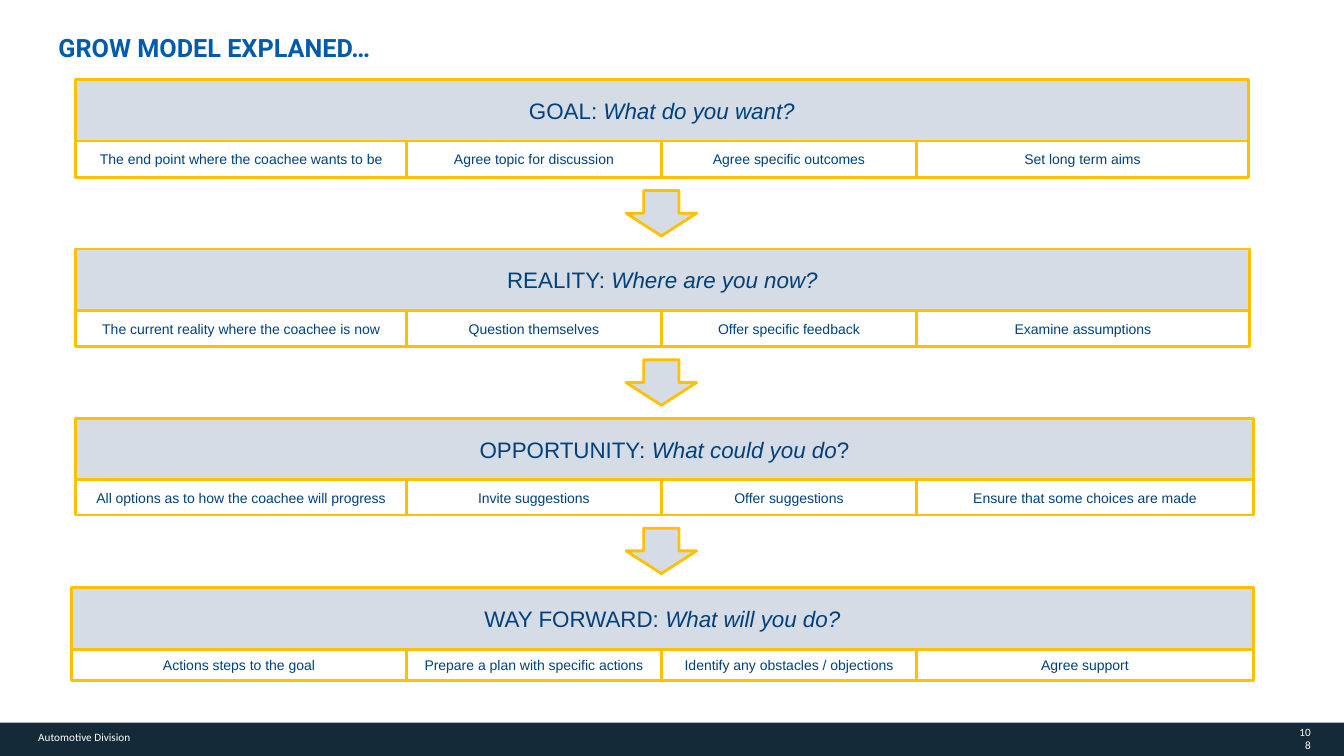
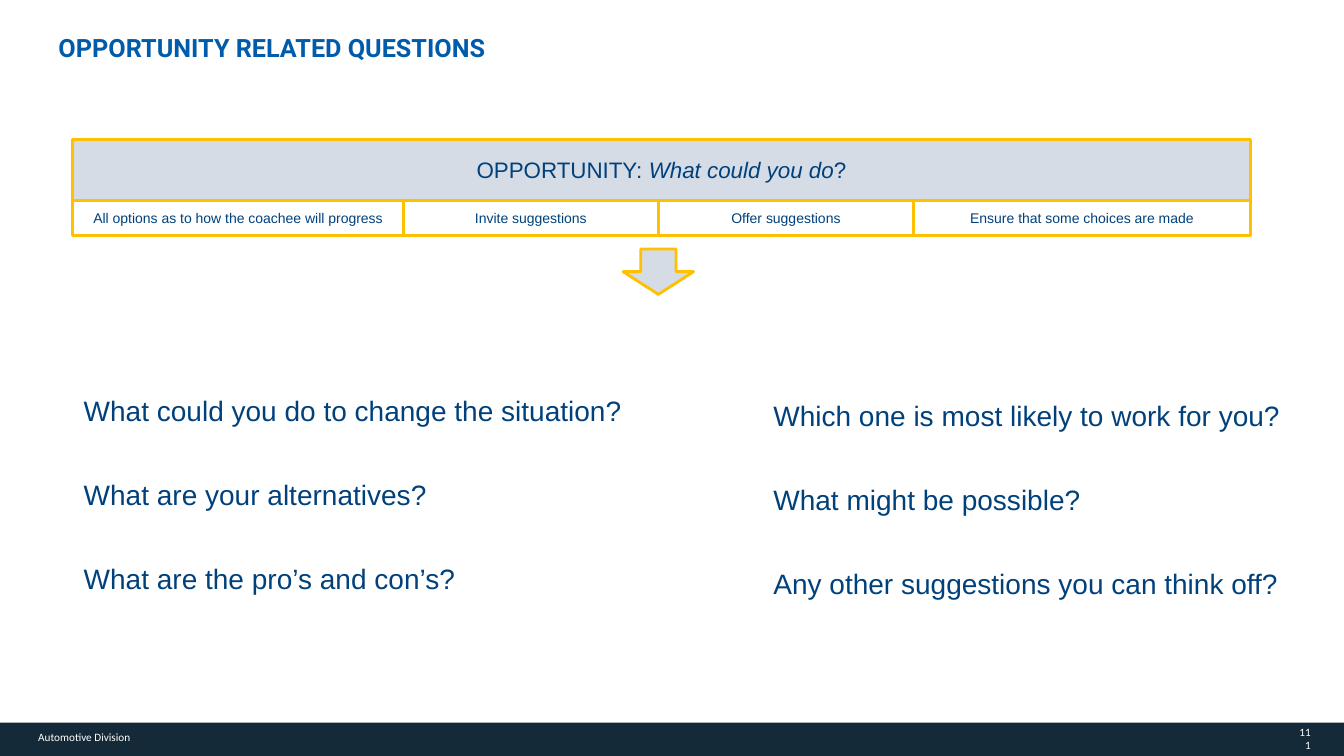
from dataclasses import dataclass
from itertools import pairwise

from lxml.etree import SubElement
from pptx import Presentation
from pptx.dml.color import RGBColor
from pptx.enum.shapes import MSO_SHAPE
from pptx.enum.text import MSO_ANCHOR, MSO_AUTO_SIZE, PP_ALIGN
from pptx.oxml.ns import qn
from pptx.shapes.autoshape import Shape
from pptx.shapes.shapetree import GroupShapes, SlideShapes
from pptx.slide import Slide
from pptx.text.text import Font, TextFrame
from pptx.util import Inches, Pt

COLOURS = {
    "title": "005BAA",
    "text": "00417C",
    "header": "D6DCE5",
    "border": "FFC000",
    "footer": "152A38",
    "white": "FFFFFF",
}
TITLE_ONLY, TWO_CONTENT = 5, 3
HEADER_HEIGHT = 0.61
DIVIDERS = (4.03, 6.56, 9.09)
ARROW_WIDTH, ARROW_HEIGHT, ARROW_GAP = 0.7, 0.45, 0.13


@dataclass(frozen=True)
class Stage:
    name: str
    question: str
    steps: tuple[str, str, str, str]
    left: float = 0.75
    right: float = 12.43
    step_height: float = 0.36
    ending: str = ""


@dataclass(frozen=True)
class QuestionColumn:
    left: float
    top: float
    width: float
    questions: tuple[str, ...]


GOAL = Stage(
    "GOAL: ",
    "What do you want?",
    (
        "The end point where the coachee wants to be",
        "Agree topic for discussion",
        "Agree specific outcomes",
        "Set long term aims",
    ),
    right=12.38,
)
REALITY = Stage(
    "REALITY: ",
    "Where are you now?",
    (
        "The current reality where the coachee is now",
        "Question themselves",
        "Offer specific feedback",
        "Examine assumptions",
    ),
    right=12.39,
)
OPPORTUNITY = Stage(
    "OPPORTUNITY: ",
    "What could you do",
    (
        "All options as to how the coachee will progress",
        "Invite suggestions",
        "Offer suggestions",
        "Ensure that some choices are made",
    ),
    step_height=0.35,
    ending="?",
)
WAY_FORWARD = Stage(
    "WAY FORWARD: ",
    "What will you do?",
    (
        "Actions steps to the goal",
        "Prepare a plan with specific actions",
        "Identify any obstacles / objections",
        "Agree support",
    ),
    left=0.71,
    step_height=0.31,
)
STAGES = (GOAL, REALITY, OPPORTUNITY, WAY_FORWARD)
FIRST_STAGE_TOP, STAGE_PITCH = 0.79, 1.68

QUESTION_COLUMNS = (
    QuestionColumn(0.73, 3.35, 7.29, (
        "What could you do to change the situation?",
        "What are your alternatives?",
        "What are the pro’s and con’s?",
    )),
    QuestionColumn(7.57, 3.4, 5.29, (
        "Which one is most likely to work for you?",
        "What might be possible?",
        "Any other suggestions you can think off?",
    )),
)


def colour(name: str) -> RGBColor:
    return RGBColor.from_string(COLOURS[name])


def set_font(font: Font, family: str, size: float, colour_name: str) -> None:
    font.name = family
    font.size = Pt(size)
    font.color.rgb = colour(colour_name)


def clear_margins(frame: TextFrame) -> None:
    frame.margin_left = frame.margin_right = 0
    frame.margin_top = frame.margin_bottom = 0


def place(shape: Shape, left: float, top: float, width: float, height: float) -> None:
    shape.left, shape.top = Inches(left), Inches(top)
    shape.width, shape.height = Inches(width), Inches(height)


def add_outlined(
    shapes: SlideShapes | GroupShapes,
    preset: MSO_SHAPE,
    left: float,
    top: float,
    width: float,
    height: float,
    filled: bool = True,
) -> Shape:
    outlined = shapes.add_shape(
        preset, Inches(left), Inches(top), Inches(width), Inches(height)
    )
    outlined.shadow.inherit = False
    if filled:
        outlined.fill.solid()
        outlined.fill.fore_color.rgb = colour("header")
    else:
        outlined.fill.background()
    outlined.line.color.rgb = colour("border")
    outlined.line.width = Pt(2)
    return outlined


def add_stage(
    shapes: SlideShapes | GroupShapes,
    stage: Stage,
    top: float,
    shift: float = 0,
    arrow: bool = True,
) -> None:
    edges = [edge + shift for edge in (stage.left, *DIVIDERS, stage.right)]
    header = add_outlined(
        shapes, MSO_SHAPE.RECTANGLE, edges[0], top, edges[-1] - edges[0], HEADER_HEIGHT
    )
    header.text_frame.vertical_anchor = MSO_ANCHOR.MIDDLE
    heading = header.text_frame.paragraphs[0]
    heading.alignment = PP_ALIGN.CENTER
    for words, italic in (
        (stage.name, False), (stage.question, True), (stage.ending, False)
    ):
        if words:
            run = heading.add_run()
            run.text = words
            set_font(run.font, "Arial", 16, "text")
            run.font.italic = italic

    steps_top = top + HEADER_HEIGHT
    for words, (left, right) in zip(stage.steps, pairwise(edges)):
        step = add_outlined(
            shapes, MSO_SHAPE.RECTANGLE, left, steps_top, right - left,
            stage.step_height, filled=False,
        )
        step.text_frame.vertical_anchor = MSO_ANCHOR.MIDDLE
        paragraph = step.text_frame.paragraphs[0]
        paragraph.text = words
        paragraph.alignment = PP_ALIGN.CENTER
        set_font(paragraph.runs[0].font, "Arial", 10, "text")

    if arrow:
        add_outlined(
            shapes, MSO_SHAPE.DOWN_ARROW, edges[2] - ARROW_WIDTH / 2,
            steps_top + stage.step_height + ARROW_GAP, ARROW_WIDTH, ARROW_HEIGHT,
        )


def add_footer_text(
    slide: Slide, words: str, left: float, top: float, width: float, height: float
) -> TextFrame:
    label = slide.shapes.add_textbox(
        Inches(left), Inches(top), Inches(width), Inches(height)
    )
    label.text_frame.text = words
    set_font(label.text_frame.paragraphs[0].runs[0].font, "Calibri", 8, "white")
    return label.text_frame


def add_slide(
    deck: Presentation, layout: int, title: str, page: str
) -> Slide:
    slide = deck.slides.add_slide(deck.slide_layouts[layout])
    band = slide.shapes.add_shape(
        MSO_SHAPE.RECTANGLE, 0, Inches(7.17), deck.slide_width, Inches(0.33)
    )
    band.shadow.inherit = False
    band.fill.solid()
    band.fill.fore_color.rgb = colour("footer")
    band.line.fill.background()

    number = add_footer_text(slide, page, 12.86, 7.26, 0.14, 0.13)
    number.word_wrap = True
    number.vertical_anchor = MSO_ANCHOR.MIDDLE
    number.paragraphs[0].alignment = PP_ALIGN.RIGHT
    clear_margins(number)
    add_footer_text(slide, "Automotive Division", 0.28, 7.2, 1.21, 0.24)

    heading = slide.shapes.title
    place(heading, 0.58, 0.32, 11.91, 0.3)
    frame = heading.text_frame
    frame.text = title
    frame.auto_size = MSO_AUTO_SIZE.NONE
    frame.vertical_anchor = MSO_ANCHOR.TOP
    clear_margins(frame)
    frame.paragraphs[0].alignment = PP_ALIGN.LEFT
    font = frame.paragraphs[0].runs[0].font
    set_font(font, "Roboto", 18, "title")
    font.bold = True
    return slide


def fill_questions(body: Shape, column: QuestionColumn) -> None:
    place(body, column.left, column.top, column.width, 3.32)
    frame = body.text_frame
    frame.text = "\n".join(column.questions)
    frame.auto_size = MSO_AUTO_SIZE.NONE
    for paragraph in frame.paragraphs:
        properties = paragraph._p.get_or_add_pPr()
        properties.set("marL", "0")
        properties.set("indent", "0")
        SubElement(properties, qn("a:buNone"))
        paragraph.line_spacing = 2.5
        paragraph.space_before = Pt(0)
        set_font(paragraph.runs[0].font, "Arial", 20, "text")


def main() -> None:
    deck = Presentation()
    deck.slide_width, deck.slide_height = Inches(13.33), Inches(7.5)

    model = add_slide(deck, TITLE_ONLY, "GROW MODEL EXPLANED…", "108")
    for index, stage in enumerate(STAGES):
        top = FIRST_STAGE_TOP + index * STAGE_PITCH
        add_stage(model.shapes, stage, top, arrow=stage is not STAGES[-1])

    opportunity = add_slide(deck, TWO_CONTENT, "OPPORTUNITY RELATED QUESTIONS", "111")
    for index, column in enumerate(QUESTION_COLUMNS, start=1):
        fill_questions(opportunity.placeholders[index], column)
    add_stage(opportunity.shapes.add_group_shape().shapes, OPPORTUNITY, 1.38, shift=-0.03)

    deck.save("out.pptx")


if __name__ == "__main__":
    main()
